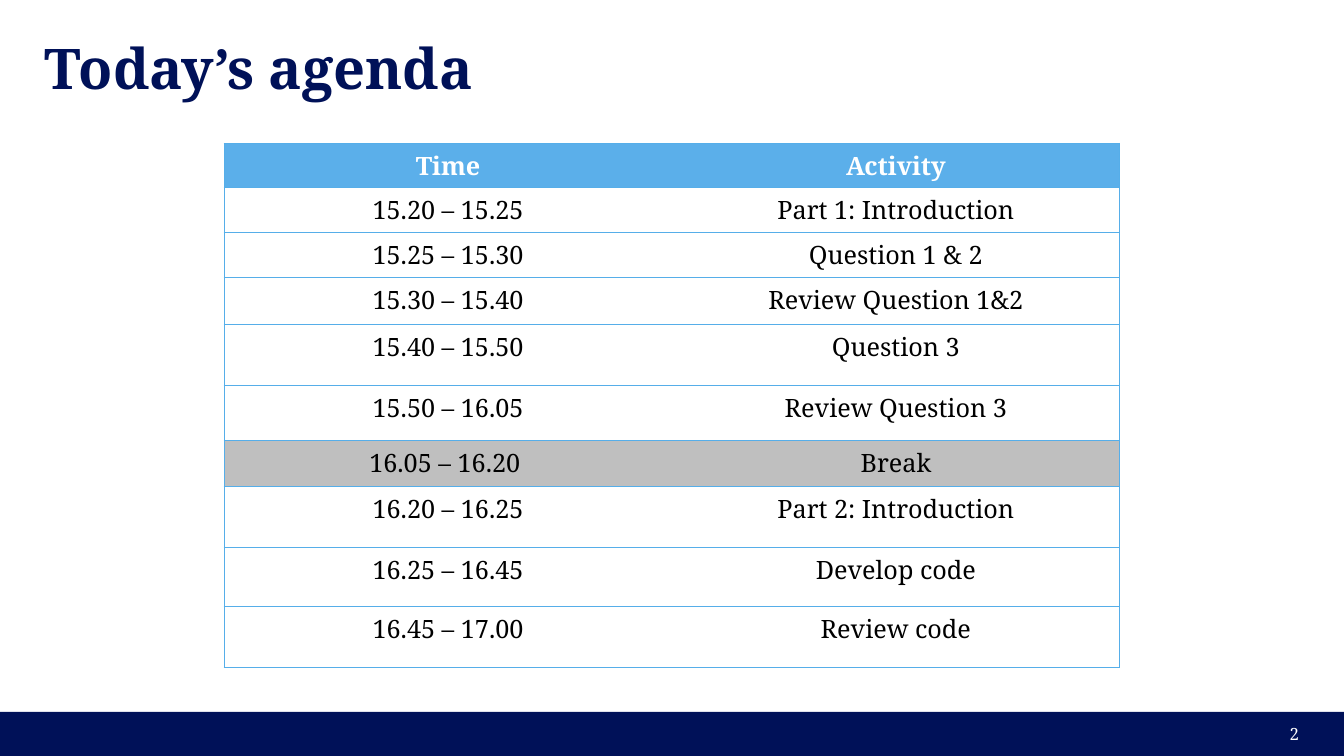
from lxml.etree import SubElement
from pptx import Presentation
from pptx.dml.color import RGBColor
from pptx.enum.shapes import MSO_SHAPE as SHAPE
from pptx.enum.text import MSO_ANCHOR as ANCHOR, MSO_AUTO_SIZE as AUTO_SIZE, PP_ALIGN as ALIGN
from pptx.oxml.ns import qn
from pptx.util import Pt

EMU_PER_PIXEL = 9080
FONT = "Noto Serif"
NAVY = RGBColor(0x00, 0x11, 0x58)
SKY = RGBColor(0x5B, 0xAF, 0xEA)
RULE = RGBColor(0x56, 0xAE, 0xE9)
GREY = RGBColor(0xBF, 0xBF, 0xBF)
WHITE = RGBColor(0xFF, 0xFF, 0xFF)
BLACK = RGBColor(0x00, 0x00, 0x00)

AGENDA = [
    ("Time", "Activity", 44),
    ("15.20 – 15.25", "Part 1: Introduction", 45),
    ("15.25 – 15.30", "Question 1 & 2", 45),
    ("15.30 – 15.40", "Review Question 1&2", 47),
    ("15.40 – 15.50", "Question 3", 61),
    ("15.50 – 16.05", "Review Question 3", 55),
    ("16.05 – 16.20 ", "Break", 46),
    ("16.20 – 16.25", "Part 2: Introduction", 61),
    ("16.25 – 16.45", "Develop code", 59),
    ("16.45 – 17.00", "Review code", 61),
]


def px(*lengths):
    """Turn picture pixels into a list of EMU lengths."""
    return [length * EMU_PER_PIXEL for length in lengths]


def write(frame, text, size, color, bold=False, align=ALIGN.LEFT):
    """Put one formatted paragraph into a text frame."""
    paragraph = frame.paragraphs[0]
    paragraph.alignment = align
    run = paragraph.add_run()
    run.text = text
    run.font.name = FONT
    run.font.size = Pt(size)
    run.font.bold = bold
    run.font.color.rgb = color


def add_title(slide, text):
    """Move and fill the title placeholder."""
    title = slide.shapes.title
    title.left, title.top, title.width, title.height = px(44, 44, 1255, 47)
    frame = title.text_frame
    frame.auto_size = AUTO_SIZE.NONE
    frame.vertical_anchor = ANCHOR.MIDDLE
    frame.margin_left = frame.margin_right = frame.margin_top = frame.margin_bottom = 0
    write(frame, text, 40, NAVY, bold=True)


def add_footer(slide, page):
    """Draw the bottom band with the page number."""
    band = slide.shapes.add_shape(SHAPE.RECTANGLE, *px(0, 711, 1343, 44))
    band.shadow.inherit = False
    band.fill.solid()
    band.fill.fore_color.rgb = NAVY
    band.line.fill.background()
    number = slide.shapes.add_textbox(*px(1006, 713, 302, 40)).text_frame
    number.word_wrap = True
    number.vertical_anchor = ANCHOR.MIDDLE
    write(number, page, 12, WHITE, align=ALIGN.RIGHT)


def set_borders(cell, visible):
    """Rule the named sides of a cell and clear the others."""
    properties = cell._tc.get_or_add_tcPr()
    for side in "LRTB":
        line = SubElement(properties, qn(f"a:ln{side}"), w=str(Pt(0.75)))
        if side in visible:
            fill = SubElement(line, qn("a:solidFill"))
            SubElement(fill, qn("a:srgbClr"), val=str(RULE))
        else:
            SubElement(line, qn("a:noFill"))


def add_agenda(slide):
    """Build the two-column agenda table."""
    heights = [height for *_, height in AGENDA]
    place = px(224, 143, 895, sum(heights))
    table = slide.shapes.add_table(len(AGENDA), 2, *place).table
    table.horz_banding = False
    for row, (time, activity, height) in enumerate(AGENDA):
        table.rows[row].height = height * EMU_PER_PIXEL
        heading = row == 0
        background = SKY if heading else GREY if activity == "Break" else None
        for column, text in enumerate((time, activity)):
            cell = table.cell(row, column)
            set_borders(cell, "TB" + "LR"[column])
            if background is None:
                cell.fill.background()
            else:
                cell.fill.solid()
                cell.fill.fore_color.rgb = background
            write(cell.text_frame, text, 18, WHITE if heading else BLACK,
                  bold=heading, align=ALIGN.CENTER)


def main():
    """Build and save the agenda slide."""
    deck = Presentation()
    deck.slide_width, deck.slide_height = px(1343, 755)
    slide = deck.slides.add_slide(deck.slide_layouts[5])
    add_footer(slide, "2")
    add_title(slide, "Today’s agenda")
    add_agenda(slide)
    deck.save("out.pptx")


main()
